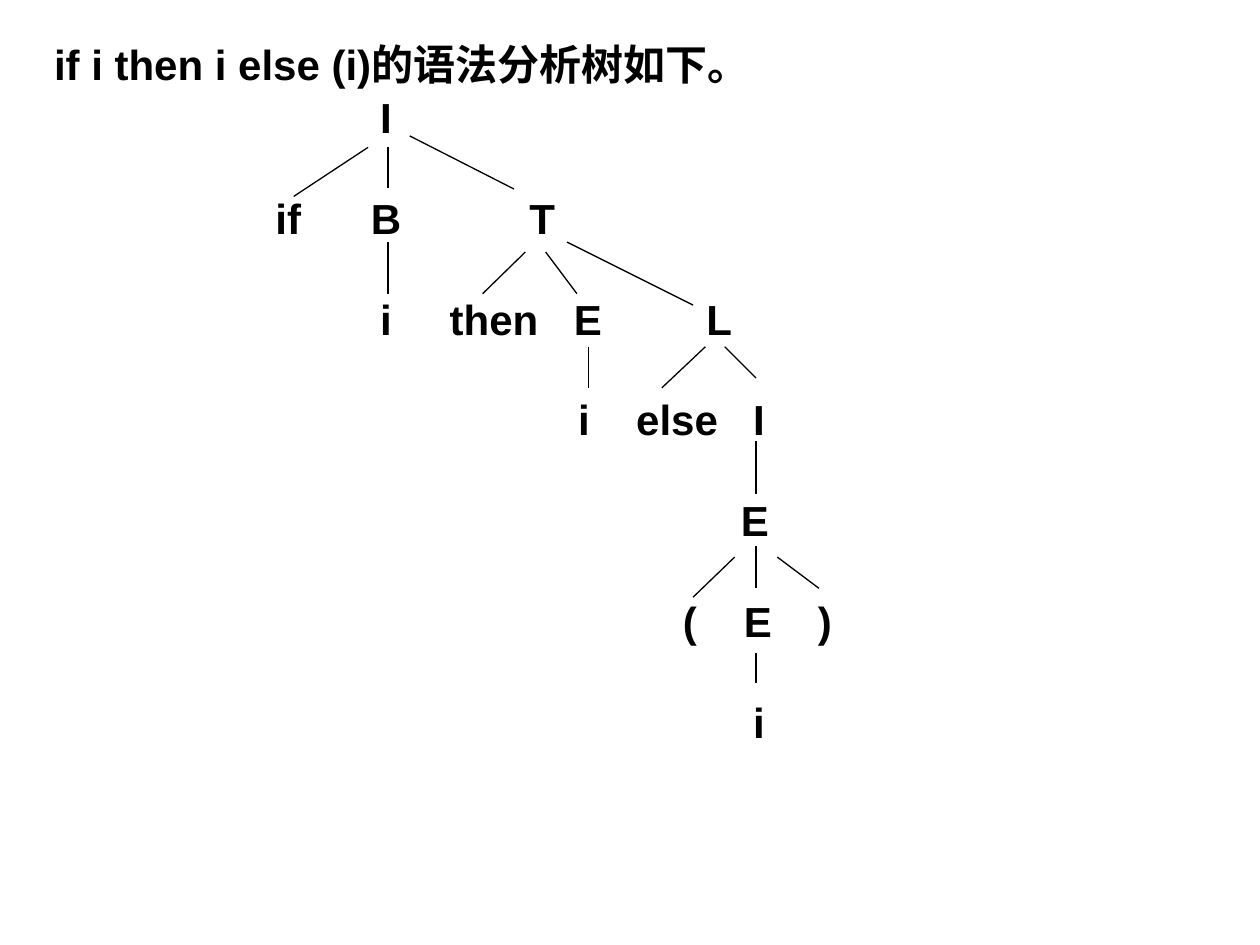
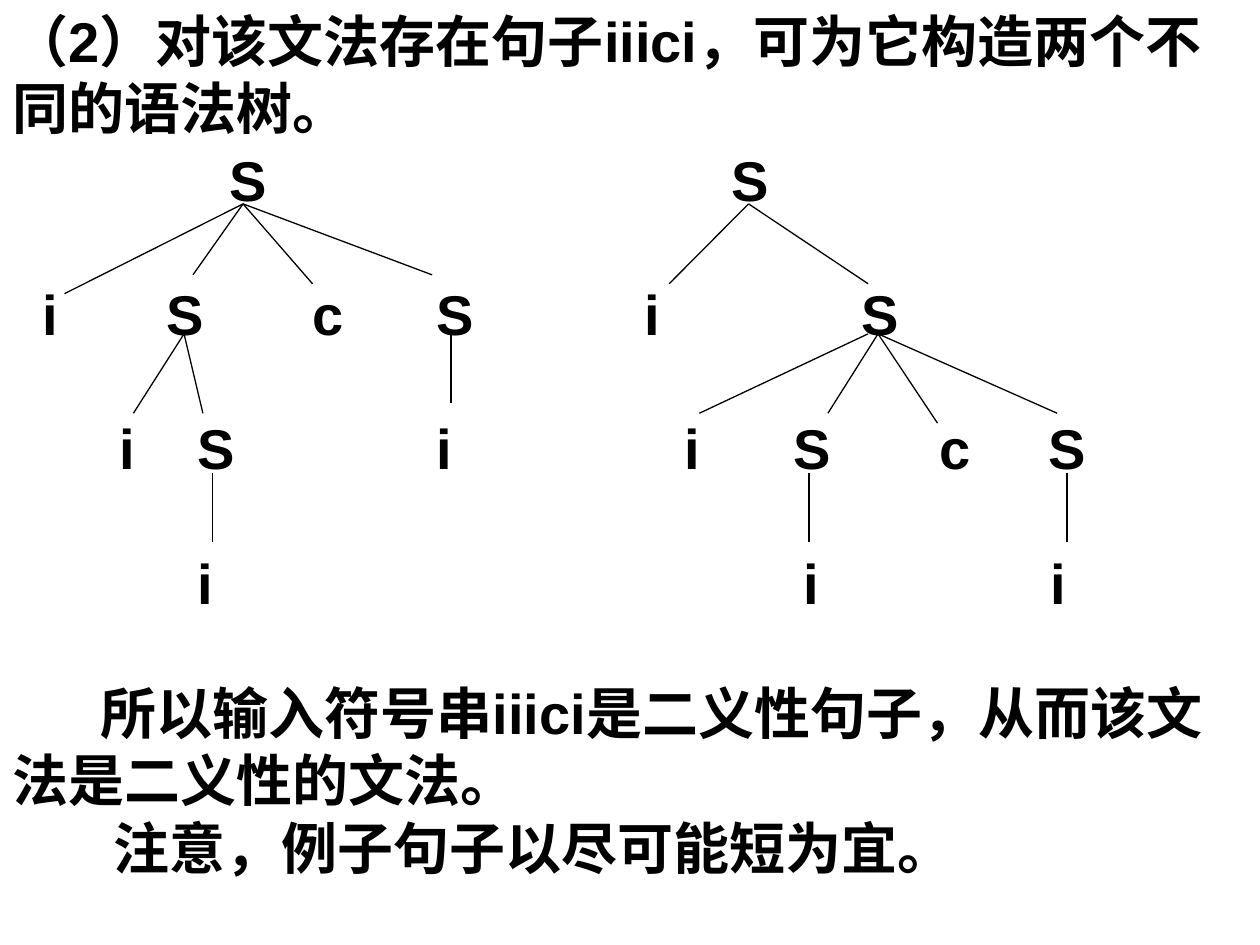
from dataclasses import dataclass

from lxml.etree import SubElement
from pptx import Presentation
from pptx.dml.color import RGBColor
from pptx.enum.shapes import MSO_CONNECTOR as Connector
from pptx.enum.text import MSO_ANCHOR as Anchor, MSO_AUTO_SIZE as AutoSize, PP_ALIGN as Align
from pptx.oxml.ns import qn
from pptx.util import Cm, Pt


@dataclass(frozen=True)
class Theme:
    ink: RGBColor = RGBColor(0, 0, 0)
    paper: RGBColor = RGBColor(255, 255, 255)
    font: str = "Arial"
    small: int = 24
    large: int = 32
    branch: float = 0.75


PROSE_FRAME = {
    "word_wrap": True, "auto_size": AutoSize.NONE, "vertical_anchor": Anchor.TOP,
    "margin_left": Cm(0.25), "margin_right": Cm(0.25),
    "margin_top": Cm(0.13), "margin_bottom": Cm(0.13),
}
NODE_FRAME = {
    "word_wrap": False, "auto_size": AutoSize.NONE, "vertical_anchor": Anchor.MIDDLE,
    "margin_left": 0, "margin_right": 0, "margin_top": 0, "margin_bottom": 0,
}

# Trees, in cm: (label, centre x, row, branch start, branch end); a root has no branch.
CONDITIONAL_TREE = [
    ("I", 7.78, 0, None, None),
    ("if", 5.81, 1, (7.42, 2.97), (5.92, 3.96)),
    ("B", 7.78, 1, (7.82, 2.97), (7.82, 3.78)),
    ("T", 10.93, 1, (8.26, 2.74), (10.36, 3.81)),
    ("i", 7.78, 2, (7.82, 4.88), (7.82, 5.92)),
    ("then", 9.96, 2, (10.59, 5.08), (9.73, 5.92)),
    ("E", 11.85, 2, (11, 5.08), (11.63, 5.92)),
    ("L", 14.5, 2, (11.43, 4.88), (13.97, 6.15)),
    ("i", 11.77, 3, (11.86, 6.99), (11.86, 7.82)),
    ("else", 13.65, 3, (14.22, 6.99), (13.34, 7.82)),
    ("I", 15.3, 3, (14.61, 6.99), (15.24, 7.62)),
    ("E", 15.22, 4, (15.24, 8.89), (15.24, 9.96)),
    ("(", 13.91, 5, (14.81, 11.23), (13.97, 12.04)),
    ("E", 15.28, 5, (15.24, 11), (15.24, 11.86)),
    (")", 16.63, 5, (15.67, 11.23), (16.51, 11.86)),
    ("i", 15.3, 6, (15.24, 13.16), (15.24, 13.77)),
]
ELSE_WITH_OUTER_IF = [
    ("S", 5, 0, None, None),
    ("i", 1.01, 1, (4.9, 4.11), (1.3, 5.92)),
    ("S", 3.73, 1, (4.9, 4.11), (3.89, 5.54)),
    ("c", 6.61, 1, (4.9, 4.11), (6.3, 5.72)),
    ("S", 9.17, 1, (4.9, 4.11), (8.71, 5.54)),
    ("i", 2.56, 2, (3.71, 6.73), (2.69, 8.33)),
    ("S", 4.35, 2, (3.71, 6.73), (4.09, 8.33)),
    ("i", 8.95, 2, (9.09, 6.73), (9.09, 8.13)),
    ("i", 4.13, 3, (4.29, 9.53), (4.29, 10.92)),
]
ELSE_WITH_INNER_IF = [
    ("S", 15.12, 0, None, None),
    ("i", 13.14, 1, (15.09, 4.11), (13.49, 5.72)),
    ("S", 17.74, 1, (15.09, 4.11), (17.5, 5.72)),
    ("i", 13.95, 2, (17.5, 6.73), (14.1, 8.33)),
    ("S", 16.37, 2, (17.7, 6.73), (16.69, 8.33)),
    ("c", 19.25, 2, (17.7, 6.73), (18.9, 8.53)),
    ("S", 21.51, 2, (17.7, 6.73), (21.31, 8.33)),
    ("i", 16.35, 3, (16.31, 9.53), (16.31, 10.92)),
    ("i", 21.33, 3, (21.51, 9.53), (21.51, 10.92)),
]


def set_all(target, values):
    for name, value in values.items():
        setattr(target, name, value)


class Deck:
    def __init__(self, theme):
        self.theme = theme
        self.show = Presentation()
        self.show.slide_width, self.show.slide_height = Cm(25.4), Cm(19.05)
        self.slide = None

    def fill_paragraph(self, paragraph, text, size, align=Align.LEFT):
        paragraph.text = text
        set_all(paragraph, {"alignment": align, "space_before": Pt(0), "line_spacing": 1.0})
        set_all(paragraph.font, {"name": self.theme.font, "size": Pt(size), "bold": True})
        paragraph.font.color.rgb = self.theme.ink

    def start(self, heading, size, left, top, width, height):
        """Add a slide and place its title."""
        self.slide = self.show.slides.add_slide(self.show.slide_layouts[5])
        fill = self.slide.background.fill
        fill.solid()
        fill.fore_color.rgb = self.theme.paper
        title = self.slide.shapes.title
        set_all(title, {"left": Cm(left), "top": Cm(top),
                        "width": Cm(width), "height": Cm(height)})
        set_all(title.text_frame, PROSE_FRAME)
        self.fill_paragraph(title.text_frame.paragraphs[0], heading, size)

    def prose(self, lines, size, left, top, width, height):
        """Add paragraphs given as (text, first-line indent in cm)."""
        frame = self.slide.shapes.add_textbox(
            Cm(left), Cm(top), Cm(width), Cm(height)).text_frame
        set_all(frame, PROSE_FRAME)
        for number, (text, indent) in enumerate(lines):
            paragraph = frame.add_paragraph() if number else frame.paragraphs[0]
            self.fill_paragraph(paragraph, text, size)
            properties = paragraph._p.get_or_add_pPr()
            properties.set("marL", "0")
            properties.set("indent", str(Cm(indent)))

    def node(self, label, size, x, y):
        """Centre a tree symbol on (x, y), in cm."""
        width, height = Pt(size * 0.6 * (len(label) + 1)), Pt(size * 1.2)
        frame = self.slide.shapes.add_textbox(
            Cm(x) - width // 2, Cm(y) - height // 2, width, height).text_frame
        set_all(frame, NODE_FRAME)
        self.fill_paragraph(frame.paragraphs[0], label, size, Align.CENTER)

    def branch(self, start, end):
        line = self.slide.shapes.add_connector(
            Connector.STRAIGHT, *(Cm(length) for length in (*start, *end)))
        line.line.color.rgb = self.theme.ink
        line.line.width = Pt(self.theme.branch)
        SubElement(line._element.spPr, qn("a:effectLst"))

    def tree(self, nodes, size, top, row_step):
        for label, x, row, start, end in nodes:
            self.node(label, size, x, top + row * row_step)
            if start:
                self.branch(start, end)


def main():
    theme = Theme()
    deck = Deck(theme)

    deck.start("if i then i else (i)的语法分析树如下。", theme.small, 0.84, 0.64, 23.93, 1.3)
    deck.tree(CONDITIONAL_TREE, theme.small, top=2.36, row_step=2.03)

    deck.start("（2）对该文法存在句子iiici，可为它构造两个不同的语法树。",
               theme.large, 0, 0, 25.4, 2.9)
    for derivation in (ELSE_WITH_OUTER_IF, ELSE_WITH_INNER_IF):
        deck.tree(derivation, theme.large, top=3.6, row_step=2.71)
    deck.prose([("所以输入符号串iiici是二义性句子，从而该文法是二义性的文法。", 1.77),
                ("注意，例子句子以尽可能短为宜。", 2.03)],
               theme.large, 0, 13.55, 25.4, 4.4)

    deck.show.save("out.pptx")


if __name__ == "__main__":
    main()
